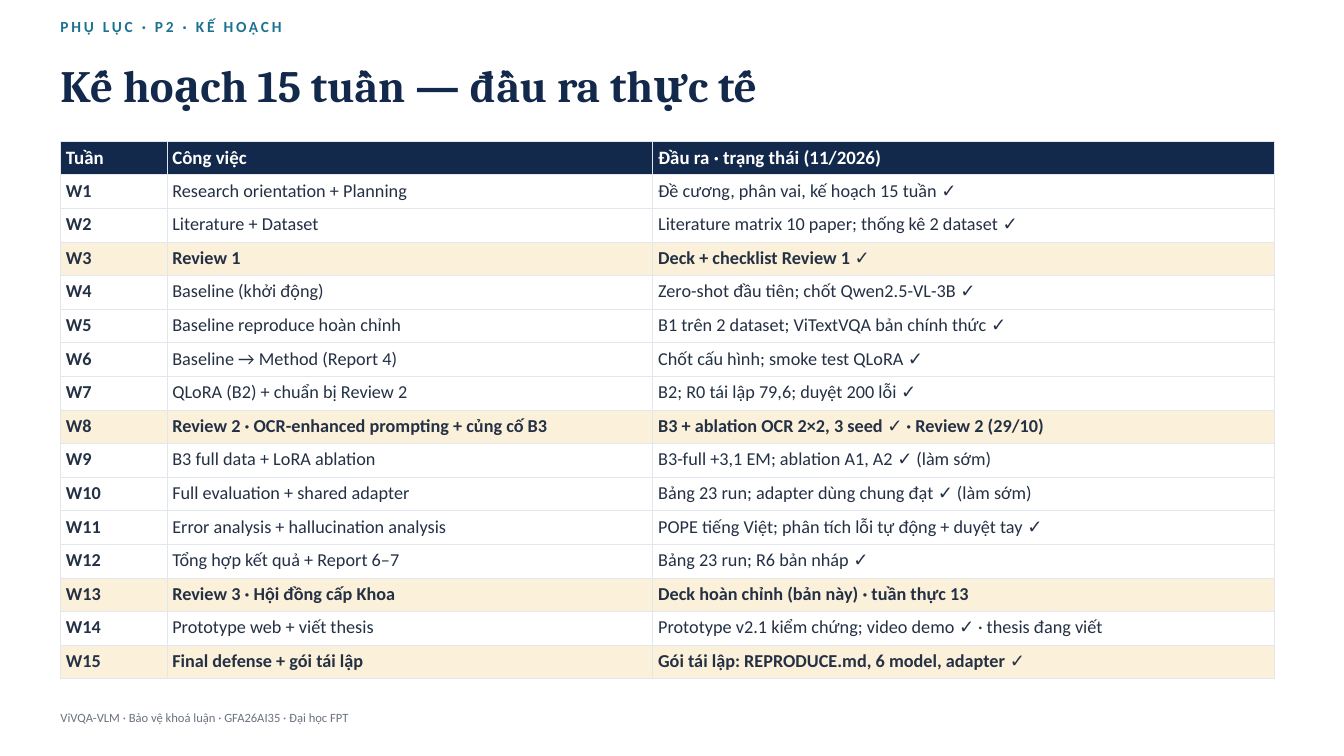
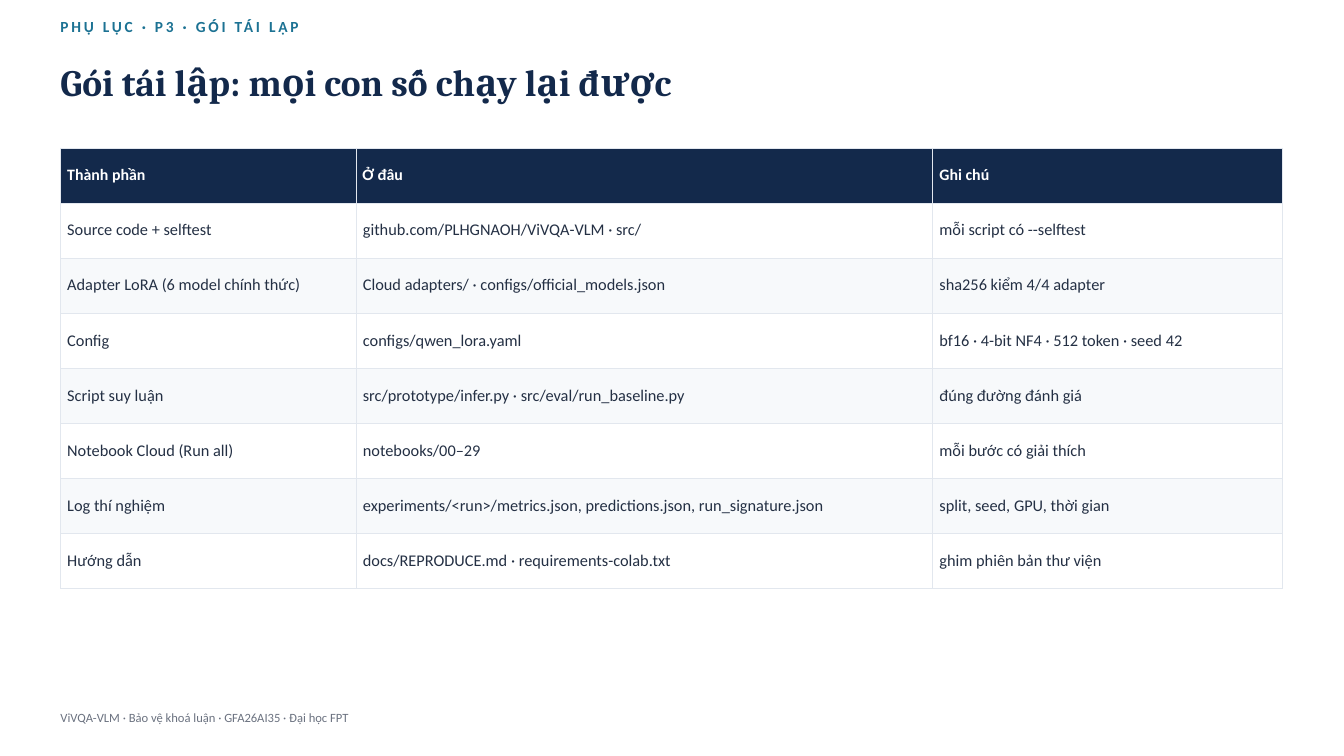
from lxml.etree import SubElement
from pptx import Presentation
from pptx.dml.color import RGBColor
from pptx.enum.text import MSO_ANCHOR, MSO_AUTO_SIZE, PP_ALIGN
from pptx.oxml.ns import qn
from pptx.util import Inches, Pt

WIDTH, HEIGHT = Inches(20), Inches(11.25)
GRID_COLUMNS, GRID_ROWS = 100, 45
LEFT, CONTENT_WIDTH = 4.5, 91
NAVY, TEAL, INK, GRAY = "13294B", "1C7293", "243044", "6B7280"
WHITE, PALE, SAND, RULE = "FFFFFF", "F7F9FB", "FBF0DA", "E2E7EE"
SANS, SERIF = "Calibri", "Cambria"
FOOTER = "ViVQA-VLM · Bảo vệ khoá luận · GFA26AI35 · Đại học FPT"

PLAN = [
    ("Tuần", "Công việc", "Đầu ra · trạng thái (11/2026)"),
    ("W1", "Research orientation + Planning", "Đề cương, phân vai, kế hoạch 15 tuần ✓"),
    ("W2", "Literature + Dataset", "Literature matrix 10 paper; thống kê 2 dataset ✓"),
    ("W3", "Review 1", "Deck + checklist Review 1 ✓"),
    ("W4", "Baseline (khởi động)", "Zero-shot đầu tiên; chốt Qwen2.5-VL-3B ✓"),
    ("W5", "Baseline reproduce hoàn chỉnh", "B1 trên 2 dataset; ViTextVQA bản chính thức ✓"),
    ("W6", "Baseline → Method (Report 4)", "Chốt cấu hình; smoke test QLoRA ✓"),
    ("W7", "QLoRA (B2) + chuẩn bị Review 2", "B2; R0 tái lập 79,6; duyệt 200 lỗi ✓"),
    ("W8", "Review 2 · OCR-enhanced prompting + củng cố B3",
     "B3 + ablation OCR 2×2, 3 seed ✓ · Review 2 (29/10)"),
    ("W9", "B3 full data + LoRA ablation", "B3-full +3,1 EM; ablation A1, A2 ✓ (làm sớm)"),
    ("W10", "Full evaluation + shared adapter", "Bảng 23 run; adapter dùng chung đạt ✓ (làm sớm)"),
    ("W11", "Error analysis + hallucination analysis",
     "POPE tiếng Việt; phân tích lỗi tự động + duyệt tay ✓"),
    ("W12", "Tổng hợp kết quả + Report 6–7", "Bảng 23 run; R6 bản nháp ✓"),
    ("W13", "Review 3 · Hội đồng cấp Khoa", "Deck hoàn chỉnh (bản này) · tuần thực 13"),
    ("W14", "Prototype web + viết thesis",
     "Prototype v2.1 kiểm chứng; video demo ✓ · thesis đang viết"),
    ("W15", "Final defense + gói tái lập", "Gói tái lập: REPRODUCE.md, 6 model, adapter ✓"),
]
MILESTONE_WEEKS = {3, 8, 13, 15}

PACKAGE = [
    ("Thành phần", "Ở đâu", "Ghi chú"),
    ("Source code + selftest", "github.com/PLHGNAOH/ViVQA-VLM · src/", "mỗi script có --selftest"),
    ("Adapter LoRA (6 model chính thức)", "Cloud adapters/ · configs/official_models.json",
     "sha256 kiểm 4/4 adapter"),
    ("Config", "configs/qwen_lora.yaml", "bf16 · 4-bit NF4 · 512 token · seed 42"),
    ("Script suy luận", "src/prototype/infer.py · src/eval/run_baseline.py", "đúng đường đánh giá"),
    ("Notebook Cloud (Run all)", "notebooks/00–29", "mỗi bước có giải thích"),
    ("Log thí nghiệm", "experiments/<run>/metrics.json, predictions.json, run_signature.json",
     "split, seed, GPU, thời gian"),
    ("Hướng dẫn", "docs/REPRODUCE.md · requirements-colab.txt", "ghim phiên bản thư viện"),
]


def color(value):
    return RGBColor.from_string(value)


def columns(count):
    return round(WIDTH * count / GRID_COLUMNS)


def rows(count):
    return round(HEIGHT * count / GRID_ROWS)


def write(frame, text, size, fill=INK, font=SANS, bold=False, line=None, tracking=None):
    paragraph = frame.paragraphs[0]
    paragraph.alignment = PP_ALIGN.LEFT
    paragraph.line_spacing = Pt(line or size * 1.2)
    run = paragraph.add_run()
    run.text = text
    run.font.name = font
    run.font.size = Pt(size)
    run.font.bold = bold
    run.font.color.rgb = color(fill)
    if tracking:
        run.font._element.set("spc", str(tracking * 100))


def plan_style(row, column):
    milestone = row in MILESTONE_WEEKS
    return SAND if milestone else WHITE, milestone or column == 0


def package_style(row, column):
    return WHITE if row % 2 else PALE, False


class Deck:
    def __init__(self):
        self.presentation = Presentation()
        self.presentation.slide_width = WIDTH
        self.presentation.slide_height = HEIGHT
        self.slide = None

    def start(self, eyebrow, title, title_top, title_height, title_size):
        layout = self.presentation.slide_layouts[5]
        self.slide = self.presentation.slides.add_slide(layout)
        self.text(eyebrow, 1.04, 2.68, size=16.5, fill=TEAL, bold=True, tracking=3)
        self.title(title, title_top, title_height, title_size)

    def place(self, shape, top, height, width):
        shape.left, shape.top = columns(LEFT), rows(top)
        shape.width, shape.height = columns(width), rows(height)
        frame = shape.text_frame
        frame.word_wrap = True
        frame.auto_size = MSO_AUTO_SIZE.SHAPE_TO_FIT_TEXT
        frame.vertical_anchor = MSO_ANCHOR.TOP
        frame.margin_left = frame.margin_right = 0
        frame.margin_top = frame.margin_bottom = 0
        return frame

    def title(self, text, top, height, size):
        frame = self.place(self.slide.shapes.title, top, height, CONTENT_WIDTH)
        write(frame, text, size, fill=NAVY, font=SERIF, bold=True, line=57.6)

    def text(self, text, top, height, width=CONTENT_WIDTH, **style):
        box = self.slide.shapes.add_textbox(0, 0, 0, 0)
        write(self.place(box, top, height, width), text, **style)

    def footer(self):
        self.text(FOOTER, 42.12, 1.8, width=75, size=13.5, fill=GRAY, line=18.1)

    def table(self, data, top, widths, row_height, head_size, body_size,
              padding, anchor, body_style):
        table = self.slide.shapes.add_table(
            len(data), len(widths), columns(LEFT), rows(top),
            columns(sum(widths)), rows(row_height * len(data))).table
        table.first_row = table.horz_banding = False
        for column, width in zip(table.columns, widths):
            column.width = columns(width)
        for row_index, values in enumerate(data):
            table.rows[row_index].height = rows(row_height)
            for column_index, text in enumerate(values):
                cell = table.cell(row_index, column_index)
                cell.margin_left = cell.margin_right = columns(padding)
                cell.margin_top = cell.margin_bottom = columns(padding)
                cell.vertical_anchor = anchor
                if row_index == 0:
                    fill, bold = NAVY, True
                    size, ink = head_size, WHITE
                else:
                    fill, bold = body_style(row_index, column_index)
                    size, ink = body_size, INK
                self.borders(cell)
                cell.fill.solid()
                cell.fill.fore_color.rgb = color(fill)
                write(cell.text_frame, text, size, fill=ink, bold=bold)

    def borders(self, cell):
        properties = cell._tc.get_or_add_tcPr()
        for side in ("L", "R", "T", "B"):
            line = SubElement(properties, qn(f"a:ln{side}"), w=str(Pt(0.75)))
            solid = SubElement(line, qn("a:solidFill"))
            SubElement(solid, qn("a:srgbClr"), val=RULE)


def main():
    deck = Deck()
    deck.start("PHỤ LỤC · P2 · KẾ HOẠCH", "Kế hoạch 15 tuần — đầu ra thực tế",
               title_top=3.44, title_height=4.48, title_size=48)
    deck.table(PLAN, top=8.4, widths=(7.92, 36.15, 46.25), row_height=2,
               head_size=20.25, body_size=19.5, padding=0.4,
               anchor=MSO_ANCHOR.TOP, body_style=plan_style)
    deck.footer()

    deck.start("PHỤ LỤC · P3 · GÓI TÁI LẬP", "Gói tái lập: mọi con số chạy lại được",
               title_top=3, title_height=4.92, title_size=40)
    deck.table(PACKAGE, top=8.8, widths=(22, 42.9, 26), row_height=3.28,
               head_size=17, body_size=17.5, padding=0.5,
               anchor=MSO_ANCHOR.MIDDLE, body_style=package_style)
    deck.footer()
    deck.presentation.save("out.pptx")


if __name__ == "__main__":
    main()
